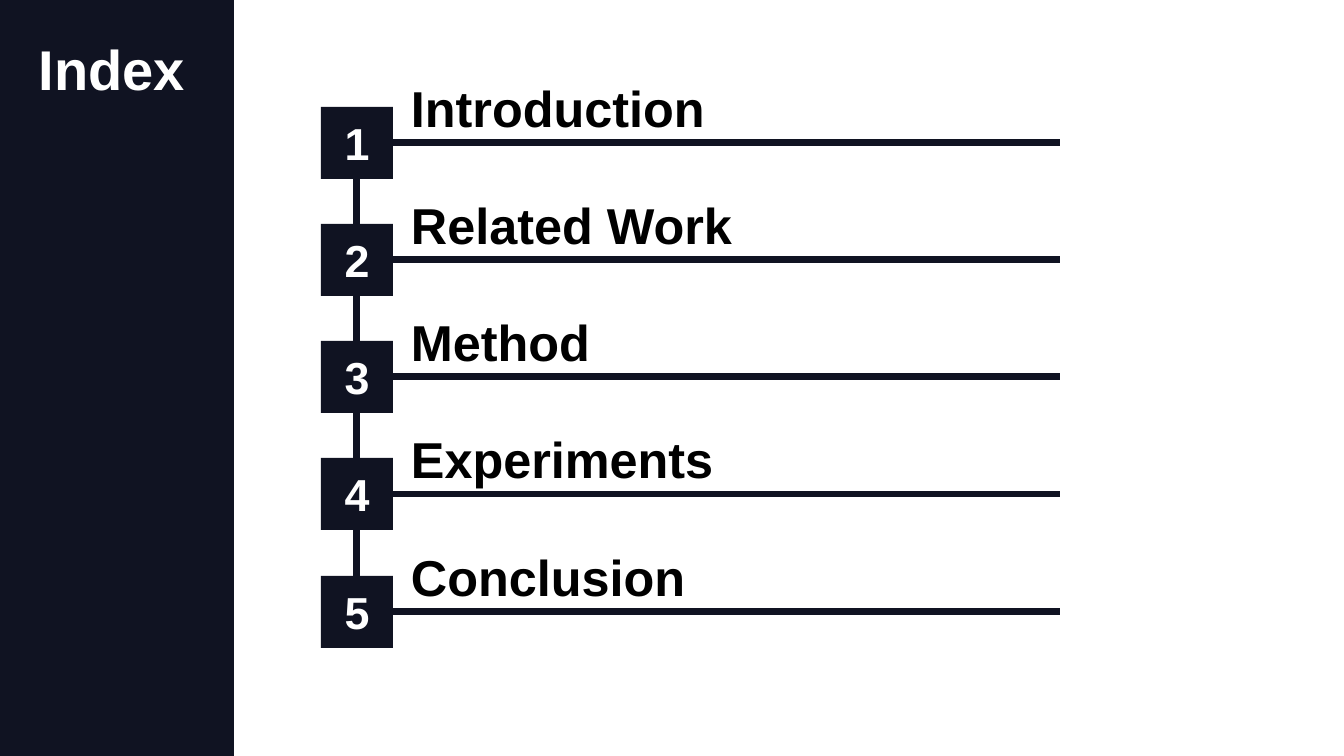
from lxml.etree import SubElement
from pptx import Presentation
from pptx.dml.color import RGBColor
from pptx.enum.shapes import MSO_CONNECTOR as CONNECTOR, MSO_SHAPE as SHAPE
from pptx.enum.text import MSO_ANCHOR as ANCHOR, MSO_AUTO_SIZE as AUTO_SIZE, PP_ALIGN as ALIGN
from pptx.oxml.ns import qn
from pptx.util import Emu, Pt

COLORS = {"navy": "101322", "white": "FFFFFF", "black": "000000"}
PX_PER_INCH = 100.8
TOP, BOTTOM, RIGHT = 0, 2, 3


def px(length):
    return Emu(round(length * 914400 / PX_PER_INCH))


def color(name):
    return RGBColor.from_string(COLORS[name])


class IndexSlide:
    font_name = "Arial"
    line_width = Pt(5)

    def __init__(self, presentation):
        self.slide = presentation.slides.add_slide(presentation.slide_layouts[6])
        self.shapes = self.slide.shapes

    def fill_text(self, shape, text, size, text_color, align, frame_format):
        frame = shape.text_frame
        for name, value in frame_format.items():
            setattr(frame, name, value)
        paragraph = frame.paragraphs[0]
        paragraph.alignment = align
        run = paragraph.add_run()
        run.text = text
        font_format = {"name": self.font_name, "size": Pt(size), "bold": True}
        for name, value in font_format.items():
            setattr(run.font, name, value)
        run.font.color.rgb = color(text_color)

    def rectangle(self, left, top, width, height):
        shape = self.shapes.add_shape(SHAPE.RECTANGLE, *map(px, (left, top, width, height)))
        shape.shadow.inherit = False
        shape.fill.solid()
        shape.fill.fore_color.rgb = color("navy")
        shape.line.fill.background()
        return shape

    def number_square(self, number, left, top, side):
        square = self.rectangle(left, top, side, side)
        self.fill_text(square, str(number), 32, "white", ALIGN.CENTER,
                       {"vertical_anchor": ANCHOR.MIDDLE, "word_wrap": True})
        return square

    def text(self, text, left, top, width, height, size, text_color):
        box = self.shapes.add_textbox(*map(px, (left, top, width, height)))
        self.fill_text(box, text, size, text_color, ALIGN.LEFT,
                       {"word_wrap": True, "auto_size": AUTO_SIZE.SHAPE_TO_FIT_TEXT})

    def line(self, start, end):
        connector = self.shapes.add_connector(CONNECTOR.STRAIGHT, *map(px, start + end))
        connector.line.color.rgb = color("navy")
        connector.line.width = self.line_width
        SubElement(connector._element.spPr, qn("a:effectLst"))
        return connector


def main():
    presentation = Presentation()
    presentation.slide_width, presentation.slide_height = px(1344), px(756)
    index = IndexSlide(presentation)

    # Side panel with the title
    index.rectangle(0, 0, 234, 756)
    index.text("Index", 29, 30, 185, 78, 40, "white")

    # Numbered sections, spread evenly from the first square to the last
    sections = ["Introduction", "Related Work", "Method", "Experiments", "Conclusion"]
    left, first_top, last_top, side = 321, 107, 576, 72
    center, line_end = left + side // 2, 1060
    previous = None
    for position, section in enumerate(sections):
        top = first_top + position * (last_top - first_top) // (len(sections) - 1)
        middle = top + side // 2
        square = index.number_square(position + 1, left, top, side)
        index.text(section, left + 80, top - 35, 647, 72, 36, "black")
        underline = index.line((left + side, middle), (line_end, middle))
        underline.begin_connect(square, RIGHT)

        # Link to the square above
        if previous is not None:
            link = index.line((center, top - 1), (center, top))
            link.begin_connect(previous, BOTTOM)
            link.end_connect(square, TOP)
        previous = square

    presentation.save("out.pptx")


if __name__ == "__main__":
    main()
